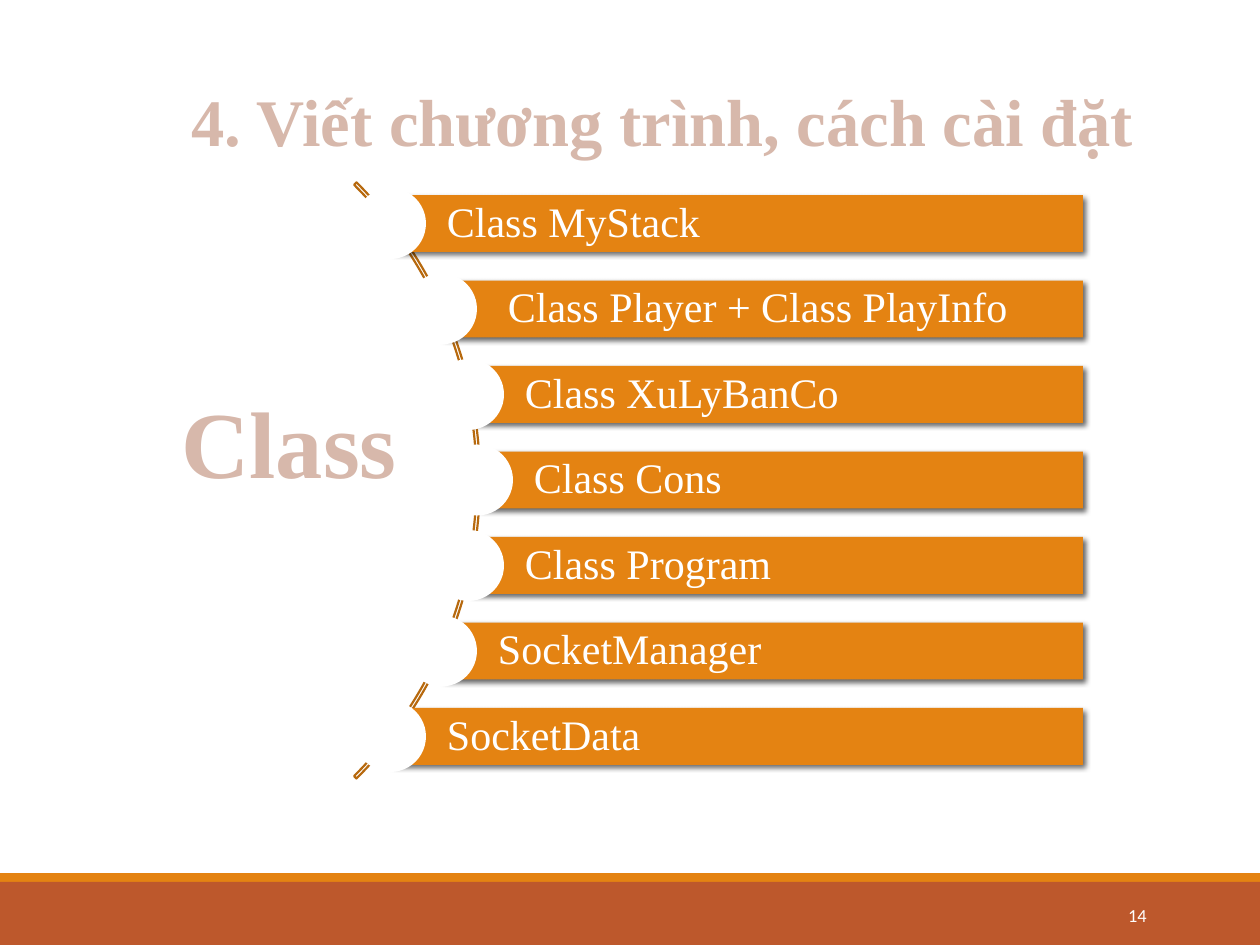
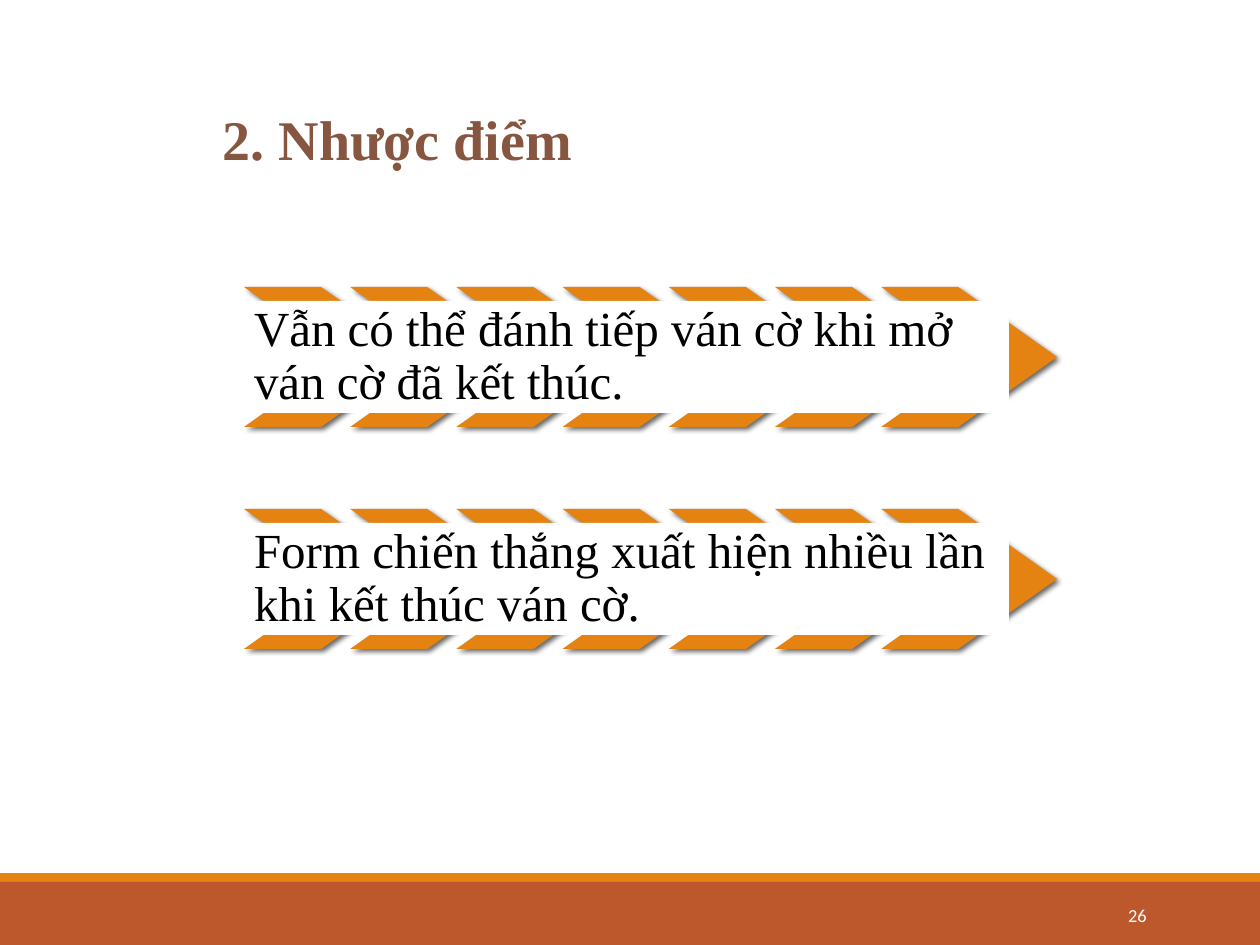
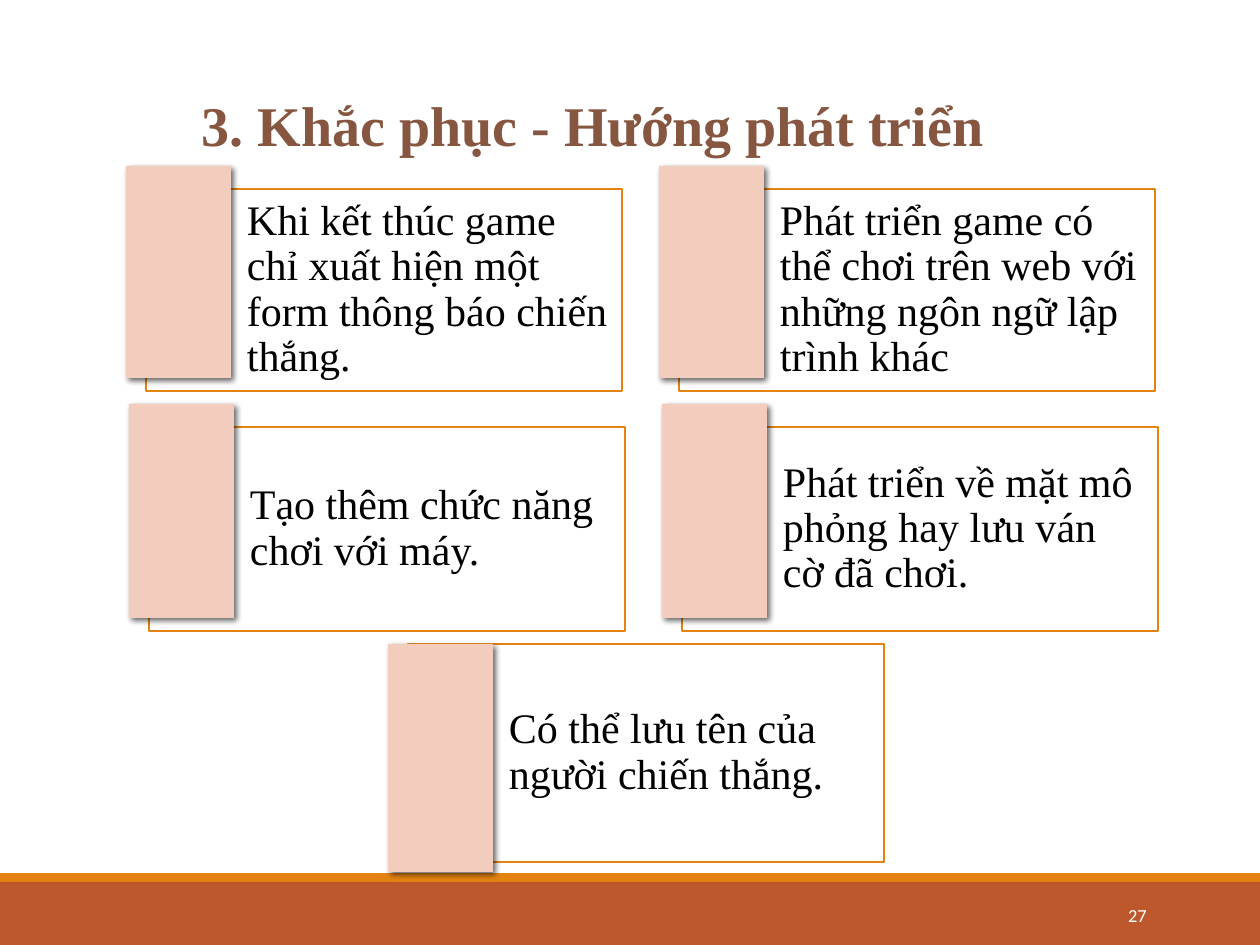
from math import sqrt

from lxml import etree
from pptx import Presentation
from pptx import util as u
from pptx.dml import color
from pptx.enum import shapes, text
from pptx.oxml import ns

PX = 914400 / 126
SERIF = "Times New Roman"
ORANGE, RUST, BROWN, PALE_BROWN = "E48312", "BD582C", "865640", "D7B8AB"
ARC_LINE, PEACH, WHITE, BLACK = "B7690E", "F2CDBD", "FFFFFF", "000000"
KIND = shapes.MSO_SHAPE
rgb = color.RGBColor.from_string


def box(sl, kind, at, fill=None, line=None, width=1, blur=0):
    """Add a preset shape at (left, top, width, height) px; blur > 0 gives a shadow."""
    sp = sl.shapes.add_shape(kind, *[round(v * PX) for v in at])
    sp.shadow.inherit = False
    if fill:
        sp.fill.solid()
        sp.fill.fore_color.rgb = rgb(fill)
    else:
        sp.fill.background()
    if line:
        sp.line.color.rgb = rgb(line)
        sp.line.width = u.Pt(width)
    else:
        sp.line.fill.background()
    if blur:
        effects = sp.element.spPr.find(ns.qn("a:effectLst"))
        shadow = etree.SubElement(effects, ns.qn("a:outerShdw"), blurRad=str(u.Pt(blur)),
                                  dist=str(u.Pt(2)), dir="2700000", algn="tl")
        clr = etree.SubElement(shadow, ns.qn("a:srgbClr"), val=BLACK)
        etree.SubElement(clr, ns.qn("a:alpha"), val="60000")
    return sp


def write(sp, words, size, colour, font=SERIF, bold=False, insets=None, spacing=None,
          anchor=text.MSO_ANCHOR.MIDDLE, align=text.PP_ALIGN.LEFT):
    """Set the text of a shape; insets are left and other sides in px."""
    tf = sp.text_frame
    tf.text = words
    tf.word_wrap = True
    tf.auto_size = text.MSO_AUTO_SIZE.NONE
    tf.vertical_anchor = anchor
    if insets:
        tf.margin_left = round(insets[0] * PX)
        tf.margin_top = tf.margin_right = tf.margin_bottom = round(insets[1] * PX)
    p = tf.paragraphs[0]
    p.alignment = align
    if spacing:
        p.line_spacing = spacing
    f = p.runs[0].font
    f.name, f.size, f.bold = font, u.Pt(size), bold
    f.color.rgb = rgb(colour)


prs = Presentation()
prs.slide_width, prs.slide_height = round(1260 * PX), round(945 * PX)

# Slides with title and number
pages = [
    ("4. Viết chương trình, cách cài đặt", 38, PALE_BROWN, (179, 74, 1013, 93), "14"),
    ("2. Nhược điểm", 32, BROWN, (210, 98, 651, 81), "26"),
    ("3. Khắc phục - Hướng phát triển", 32, BROWN, (189, 84, 955, 81), "27"),
]
slides = []
for title, size, colour, at, number in pages:
    sl = prs.slides.add_slide(prs.slide_layouts[5])
    sp = sl.shapes.title
    sp.left, sp.top, sp.width, sp.height = [round(v * PX) for v in at]
    write(sp, title, size, colour, bold=True, anchor=text.MSO_ANCHOR.TOP)
    sp = sl.shapes.add_textbox(*[round(v * PX) for v in (1023, 890, 136, 50)])
    write(sp, number, 10.5, WHITE, font="Calibri", align=text.PP_ALIGN.RIGHT)
    slides.append(sl)
classes, drawbacks, plans = slides

# Footer bands, moved to the slide master
master_tree = prs.slide_master.element.cSld.spTree
for shape_id, fill, top, height in [(101, RUST, 882, 63), (102, ORANGE, 873, 9)]:
    sp = box(classes, KIND.RECTANGLE, (0, top, 1260, height), fill)
    sp.element.nvSpPr.cNvPr.set("id", str(shape_id))
    master_tree.insert(2, sp.element)

# Slide 1: classes along an arc
arc = box(classes, KIND.BLOCK_ARC, (-363, 59, 843, 843), line=ARC_LINE, width=1.25)
for i, value in enumerate((189, 27, 0.004)):
    arc.adjustments[i] = value
class_rows = [
    ("Class MyStack", 56), ("Class Player + Class PlayInfo", 66), ("Class XuLyBanCo", 56),
    ("Class Cons", 56), ("Class Program", 56), ("SocketManager", 56), ("SocketData", 56),
]
for i, (name, indent) in enumerate(class_rows):
    top = 195 + 85.5 * i
    left = round(58 + sqrt(420 ** 2 - (85.5 * (i - 3)) ** 2))
    bar = box(classes, KIND.RECTANGLE, (left, top, 1083 - left, 57), ORANGE, blur=3)
    write(bar, name, 24, WHITE, insets=(indent, 9), spacing=0.9)
    box(classes, KIND.OVAL, (left - 36, top - 7, 71, 71), WHITE)
sp = classes.shapes.add_textbox(*[round(v * PX) for v in (169, 378, 262, 127)])
write(sp, "Class", 54, PALE_BROWN, bold=True, anchor=text.MSO_ANCHOR.TOP)

# Slide 2: drawbacks on rows of chevrons
drawback_rows = [
    "Vẫn có thể đánh tiếp ván cờ khi mở ván cờ đã kết thúc.",
    "Form chiến thắng xuất hiện nhiều lần khi kết thúc ván cờ.",
]
for row, words in enumerate(drawback_rows):
    top = 287 + 222 * row
    for i in range(7):
        chevron = box(drawbacks, KIND.CHEVRON, (244 + 106.2 * i, top, 176, 140), ORANGE, blur=3)
        chevron.adjustments[0] = 0.706
    label = box(drawbacks, KIND.RECTANGLE, (244, top + 14, 765, 112), WHITE)
    write(label, words, 28, BLACK, insets=(10, 10), spacing=0.9)

# Slide 3: plan cards: left, top, height, rise of the accent above the card
cards = [
    (146, 189, 202, 23, "Khi kết thúc game chỉ xuất hiện một form thông báo chiến thắng."),
    (679, 189, 202, 23, "Phát triển game có thể chơi trên web với những ngôn ngữ lập trình khác"),
    (149, 427, 204, 23, "Tạo thêm chức năng chơi với máy."),
    (682, 427, 204, 23, "Phát triển về mặt mô phỏng hay lưu ván cờ đã chơi."),
    (408, 644, 218, 0, "Có thể lưu tên của người chiến thắng."),
]
for left, top, height, rise, words in cards:
    card = box(plans, KIND.RECTANGLE, (left, top, 476, height), WHITE, line=ORANGE)
    clr = card.element.spPr.find(ns.qn("a:solidFill"))[0]
    etree.SubElement(clr, ns.qn("a:alpha"), val="40000")
    write(card, words, 24, BLACK, insets=(101, 13), spacing=0.9)
    box(plans, KIND.RECTANGLE, (left - 20, top - rise, 105, height + 10), PEACH, blur=3.5)

prs.save("out.pptx")
